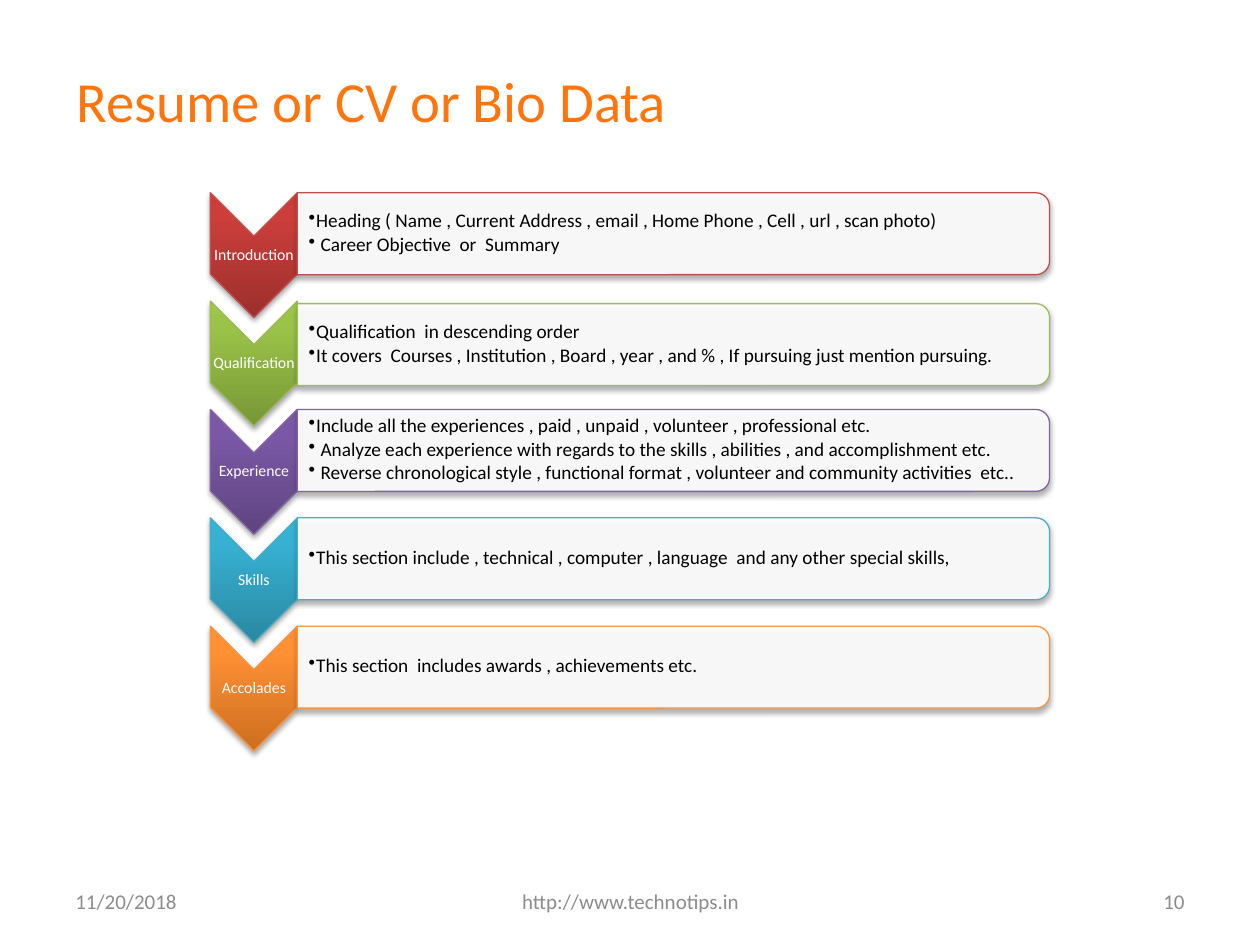
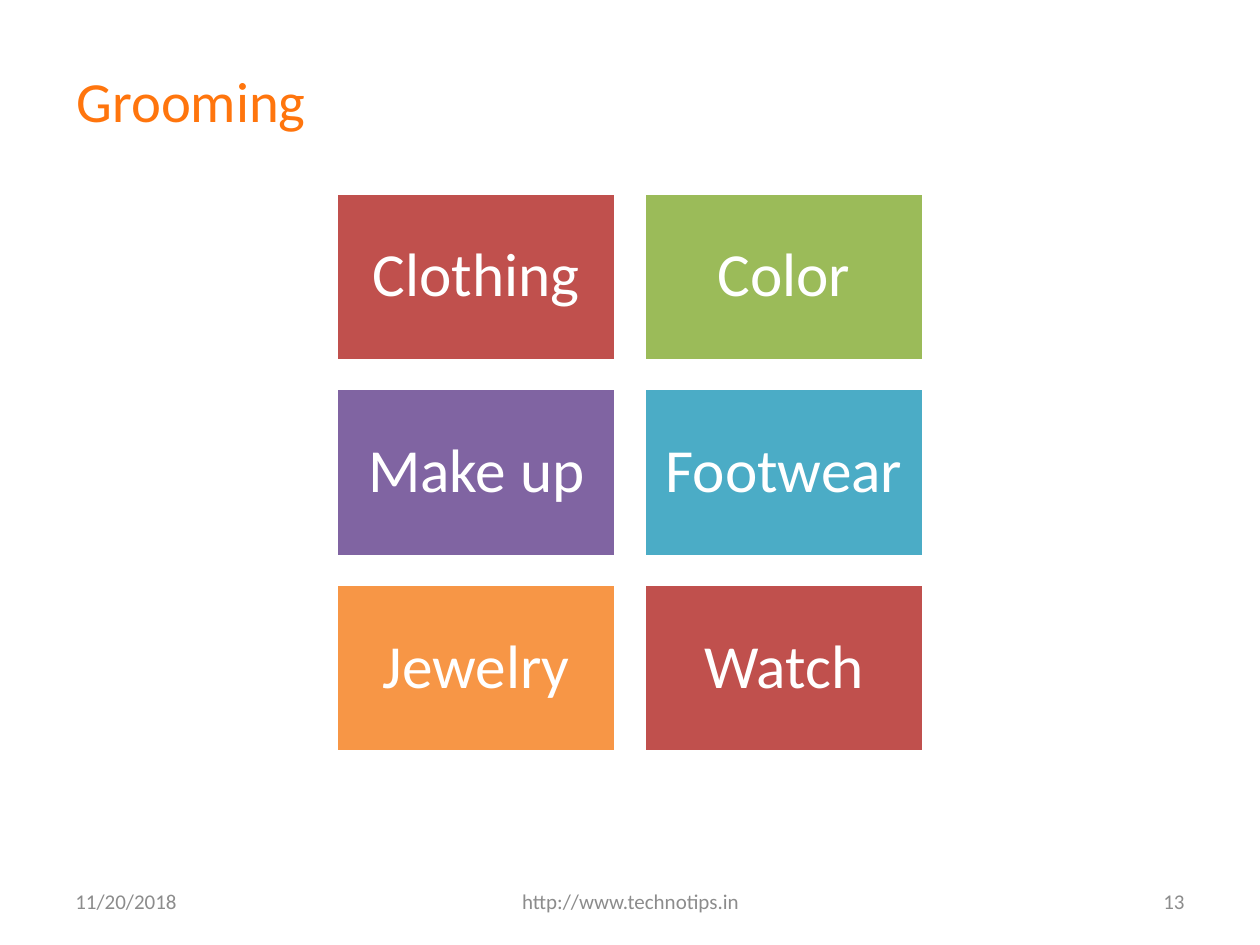
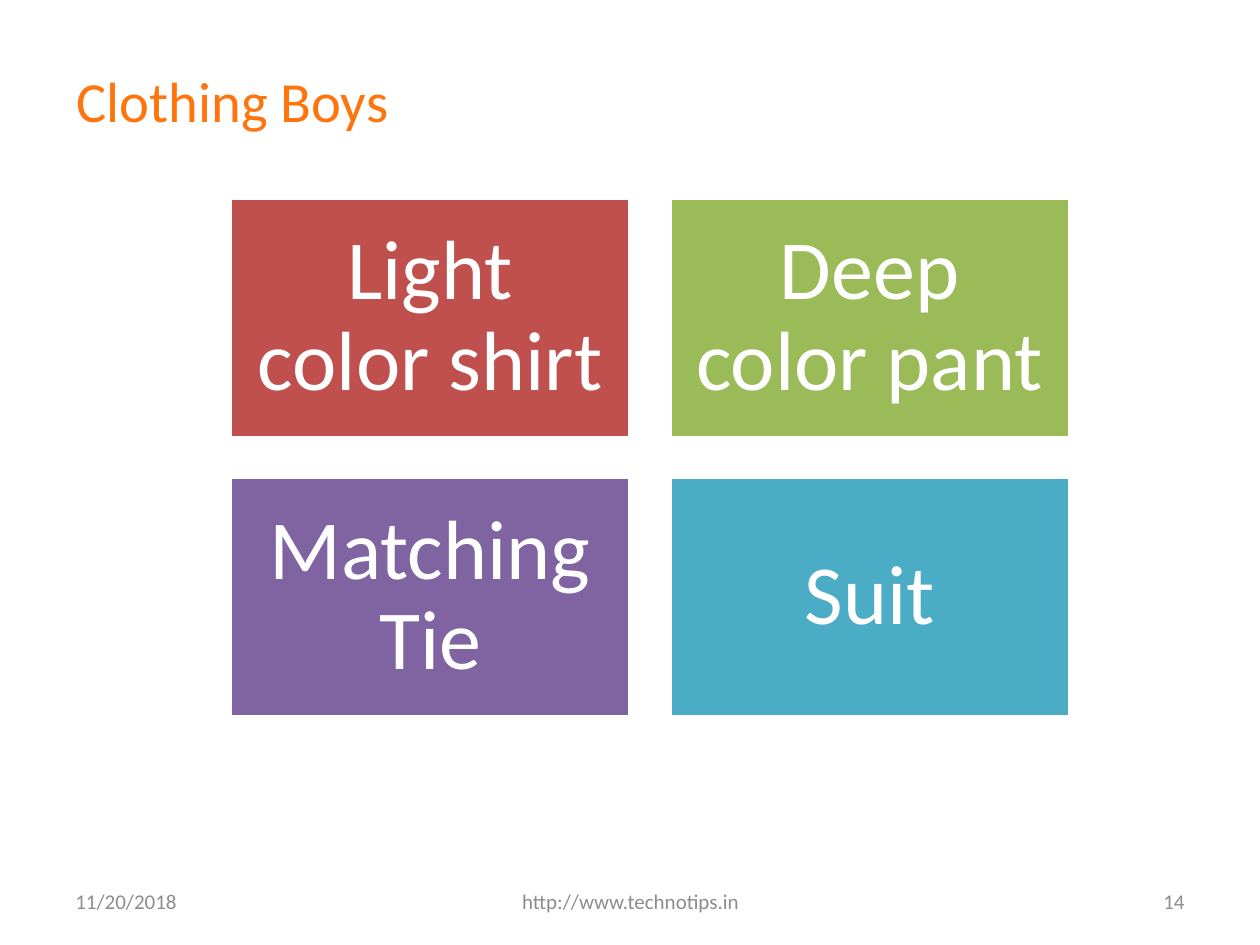
from lxml import etree
from pptx import Presentation
from pptx import util as u
from pptx.dml.color import RGBColor
from pptx.enum import shapes, text
from pptx.oxml import ns

WIDTH, HEIGHT = 10, 7.5
FONT = "Calibri"
COLORS = {
    "title": "FF750D", "footer": "8C8C8C", "white": "FFFFFF", "black": "000000",
    "red": "C0504D", "green": "9BBB59", "purple": "8064A2",
    "aqua": "4BACC6", "orange": "F79646",
}
# Chevron gradient from the tip upwards: stops at 0, 80 and 100 percent
GRADIENTS = {
    "red": ("9C2F2D", "CB3E3A", "CE3B37"),
    "green": ("779737", "9BC348", "9DC746"),
    "purple": ("5F4480", "7B58A6", "7C57A8"),
    "aqua": ("2A88A2", "37B1D2", "34B4D6"),
    "orange": ("CC6E20", "FF9034", "FF9136"),
}
ACCENTS = list(GRADIENTS)
ALIGN = text.PP_ALIGN

# Resume rows
ROW_TOP, ROW_PITCH = 1.53, 0.86
CHEVRON_LEFT, CHEVRON_WIDTH, CHEVRON_HEIGHT = 1.67, 0.69, 0.99
PANEL_LEFT, PANEL_WIDTH, PANEL_HEIGHT = 2.36, 5.97, 0.65
RESUME_SECTIONS = [
    ("Introduction", [
        "Heading ( Name , Current Address , email , Home Phone , Cell , url , scan photo)",
        " Career Objective  or  Summary"]),
    ("Qualification", [
        "Qualification  in descending order",
        "It covers  Courses , Institution , Board , year , and % , If pursuing just mention pursuing."]),
    ("Experience", [
        "Include all the experiences , paid , unpaid , volunteer , professional etc.",
        " Analyze each experience with regards to the skills , abilities , and accomplishment etc.",
        " Reverse chronological style , functional format , volunteer and community activities  etc.."]),
    ("Skills", [
        "This section include , technical , computer , language  and any other special skills,"]),
    ("Accolades", ["This section  includes awards , achievements etc."]),
]


def rgb(name):
    return RGBColor.from_string(COLORS[name])


def add_xml(parent, tag, **attributes):
    return etree.SubElement(parent, ns.qn(tag), attributes)


def write(shape, lines, size, color, align=ALIGN.LEFT, insets=(0.1, 0.05, 0.1, 0.05),
          spacing=1.0, after=0, bullets=False):
    frame = shape.text_frame
    frame.text = "\n".join(lines)
    frame.word_wrap = True
    frame.vertical_anchor = text.MSO_ANCHOR.MIDDLE
    frame.margin_left, frame.margin_top, frame.margin_right, frame.margin_bottom = map(u.Inches, insets)
    for paragraph in frame.paragraphs:
        paragraph.alignment = align
        paragraph.line_spacing = spacing
        paragraph.space_after = u.Pt(after)
        if bullets:
            properties = paragraph._p.get_or_add_pPr()
            properties.set("marL", str(u.Inches(0.06)))
            properties.set("indent", str(u.Inches(-0.06)))
            add_xml(properties, "a:buChar", char="•")
        for run in paragraph.runs:
            run.font.name, run.font.size = FONT, u.Pt(size)
            run.font.color.rgb = rgb(color)


def add_text(slide, box, lines, size, color, **style):
    write(slide.shapes.add_textbox(*map(u.Inches, box)), lines, size, color, **style)


def add_shape(slide, kind, box, fill, line, line_width):
    shape = slide.shapes.add_shape(kind, *map(u.Inches, box))
    shape.shadow.inherit = False
    shape.fill.solid()
    shape.fill.fore_color.rgb = rgb(fill)
    shape.line.color.rgb = rgb(line)
    shape.line.width = u.Pt(line_width)
    return shape


def add_turned_shape(slide, kind, box, fill, line):
    """Add a shape turned by 90 degrees that covers box, with a soft shadow below."""
    left, top, width, height = box
    shift = (width - height) / 2
    shape = add_shape(slide, kind, (left + shift, top - shift, height, width), fill, line, 0.75)
    shape.rotation = 90
    effects = shape._element.spPr.find(ns.qn("a:effectLst"))
    shadow = add_xml(effects, "a:outerShdw", blurRad=str(u.Pt(3.1)), dist=str(u.Pt(1.8)),
                     dir="5400000", rotWithShape="0")
    add_xml(add_xml(shadow, "a:srgbClr", val=COLORS["black"]), "a:alpha", val="35000")
    return shape


def set_gradient(shape, stops):
    solid = shape._element.spPr.find(ns.qn("a:solidFill"))
    gradient = etree.Element(ns.qn("a:gradFill"), rotWithShape="0")
    stop_list = add_xml(gradient, "a:gsLst")
    for position, color in zip((0, 80000, 100000), stops):
        add_xml(add_xml(stop_list, "a:gs", pos=str(position)), "a:srgbClr", val=color)
    add_xml(gradient, "a:lin", ang="16200000", scaled="0")
    solid.getparent().replace(solid, gradient)


def add_chevron(slide, top, label, accent):
    box = (CHEVRON_LEFT, top, CHEVRON_WIDTH, CHEVRON_HEIGHT)
    chevron = add_turned_shape(slide, shapes.MSO_SHAPE.CHEVRON, box, accent, accent)
    set_gradient(chevron, GRADIENTS[accent])
    notch = CHEVRON_WIDTH / 2
    add_text(slide, (CHEVRON_LEFT, top + notch, CHEVRON_WIDTH, CHEVRON_HEIGHT - 2 * notch),
             [label], 9, "white", align=ALIGN.CENTER, insets=[0.01] * 4, spacing=0.9)


def add_panel(slide, top, lines, accent):
    box = (PANEL_LEFT, top, PANEL_WIDTH, PANEL_HEIGHT)
    panel = add_turned_shape(slide, shapes.MSO_SHAPE.ROUND_2_SAME_RECTANGLE, box, "white", accent)
    color = panel._element.spPr.find(ns.qn("a:solidFill"))[0]
    add_xml(color, "a:alpha", val="90000")
    add_text(slide, (PANEL_LEFT, top + 0.03, PANEL_WIDTH - 0.03, PANEL_HEIGHT - 0.07), lines, 11,
             "black", insets=(0.09, 0.01, 0.01, 0.01), spacing=0.9, after=1.65, bullets=True)


def add_resume_rows(slide):
    for row, (label, lines) in enumerate(RESUME_SECTIONS):
        top = ROW_TOP + row * ROW_PITCH
        add_chevron(slide, top, label, ACCENTS[row])
        # The second panel sits slightly lower than its chevron
        add_panel(slide, top + (0.02 if row == 1 else 0), lines, ACCENTS[row])


def add_tiles(slide, labels, left, top, width, size, inset):
    """Place tiles in two columns; height and gap follow from the width."""
    height, gap = 0.6 * width, 0.1 * width
    for index, label in enumerate(labels):
        row, column = divmod(index, 2)
        box = (left + column * (width + gap), top + row * (height + gap), width, height)
        tile = add_shape(slide, shapes.MSO_SHAPE.RECTANGLE, box,
                         ACCENTS[index % len(ACCENTS)], "white", 2)
        write(tile, [label], size, "white", align=ALIGN.CENTER, insets=[inset] * 4, spacing=0.9)


def add_slide(presentation, title, number):
    slide = presentation.slides.add_slide(presentation.slide_layouts[6])
    add_text(slide, (0.51, 0.5, 9, 0.58), [title], 32.4, "title")
    # Footer: date, address, slide number
    for left, width, label, align in (
            (0.5, 2.33, "11/20/2018", ALIGN.LEFT),
            (3.42, 3.17, "http://www.technotips.in", ALIGN.CENTER),
            (7.17, 2.33, str(number), ALIGN.RIGHT)):
        add_text(slide, (left, 6.95, width, 0.4), [label], 12, "footer", align=align)
    return slide


def main():
    presentation = Presentation()
    presentation.slide_width, presentation.slide_height = u.Inches(WIDTH), u.Inches(HEIGHT)

    add_resume_rows(add_slide(presentation, "Resume or CV or Bio Data", 10))
    add_tiles(add_slide(presentation, "Grooming", 13),
              ["Clothing", "Color", "Make up", "Footwear", "Jewelry", "Watch"],
              left=2.67, top=1.53, width=2.22, size=35, inset=0.15)
    add_tiles(add_slide(presentation, "Clothing Boys", 14),
              ["Light color shirt", "Deep color pant", "Matching Tie", "Suit"],
              left=1.83, top=1.57, width=3.17, size=48, inset=0.2)

    presentation.save("out.pptx")


if __name__ == "__main__":
    main()
